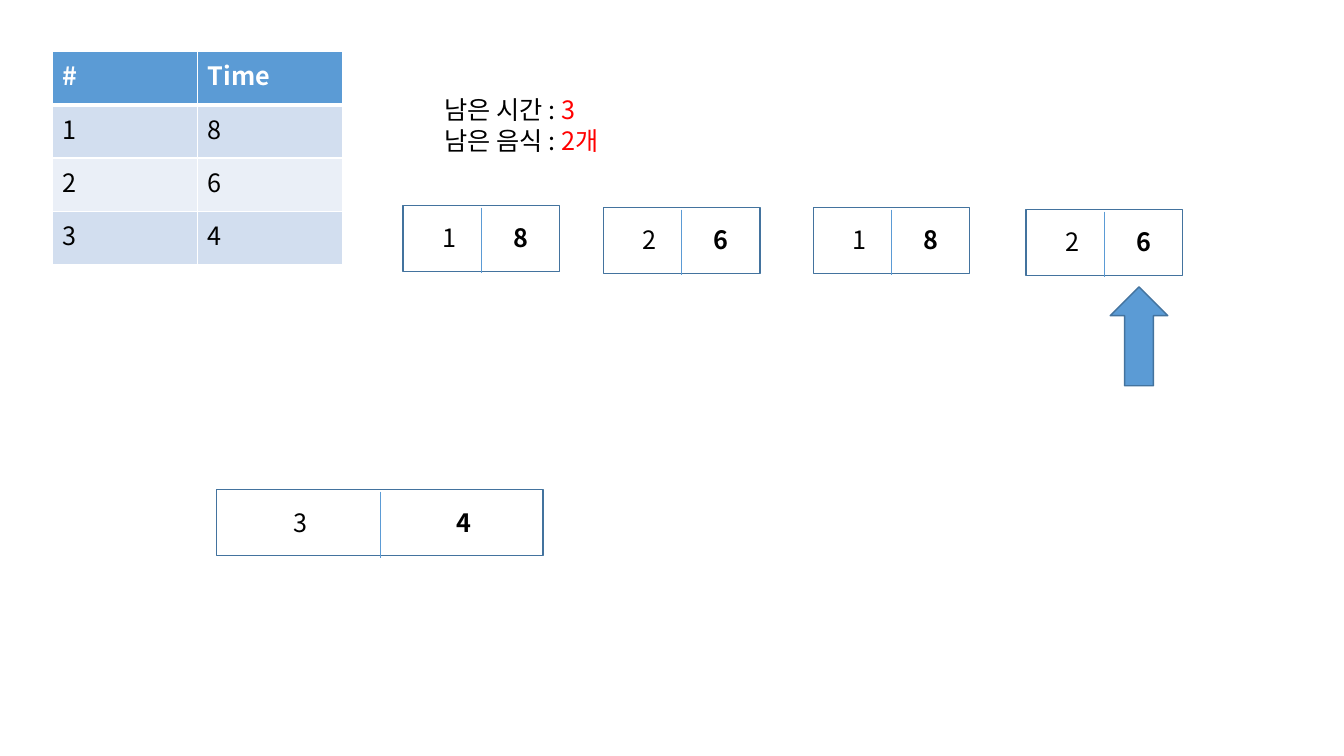
"""Build the food-queue slide: a time table, queued boxes and a pointer."""
from dataclasses import dataclass

from lxml import etree
from pptx import Presentation
from pptx.dml.color import RGBColor
from pptx.enum.shapes import MSO_CONNECTOR, MSO_SHAPE
from pptx.enum.text import MSO_AUTO_SIZE, PP_ALIGN
from pptx.oxml.ns import qn
from pptx.util import Cm, Pt


@dataclass(frozen=True)
class Theme:
    font: str = "Noto Sans CJK KR"
    size: int = 18
    text: str = "000000"
    white: str = "FFFFFF"
    red: str = "FF0000"
    blue: str = "5B9BD5"
    outline: str = "43739E"
    bands: tuple = ("D2DEEF", "EAEFF7")


THEME = Theme()

FOODS = [("#", "Time"), ("1", "8"), ("2", "6"), ("3", "4")]
REMAINING = [("남은 시간 : ", "3"), ("남은 음식 : ", "2개")]

WIDE = {"width": 8.23, "number_dx": -1.98, "time_dx": 2.12}
NARROW = {"width": 3.94, "number_dx": -0.79, "time_dx": 1.0}
BOXES = [
    ("3", "4", 5.46, 12.34, WIDE),
    ("1", "8", 10.16, 5.18, NARROW),
    ("2", "6", 15.21, 5.23, NARROW),
    ("1", "8", 20.5, 5.23, NARROW),
    ("2", "6", 25.86, 5.28, NARROW),
]
BOX_HEIGHT = 1.66
DIVIDER_DROP = 0.05
DIGIT_DROP = 0.31
DIGIT_SIZE = (0.88, 1.02)
TABLE_AT = (1.32, 1.3)
CELL_SIZE = (3.66, 1.34)
REMAINING_AT = (10.95, 2.26, 8.1, 1.8)
POINTER_AT = (27.46, 7.75, 2.49, 1.45)


def rgb(color):
    return RGBColor.from_string(color)


def add_run(paragraph, text, color=THEME.text, bold=False):
    run = paragraph.add_run()
    run.text = text
    font = run.font
    font.name, font.size, font.bold = THEME.font, Pt(THEME.size), bold
    font.color.rgb = rgb(color)
    east_asian = etree.SubElement(run._r.get_or_add_rPr(), qn("a:ea"))
    east_asian.set("typeface", THEME.font)


def add_text_frame(slide, place, wrap):
    frame = slide.shapes.add_textbox(*map(Cm, place)).text_frame
    frame.word_wrap = wrap
    frame.auto_size = MSO_AUTO_SIZE.SHAPE_TO_FIT_TEXT
    return frame


def set_borders(cell, row):
    widths = {"L": 1, "R": 1, "T": 3 if row == 1 else 1, "B": 3 if row == 0 else 1}
    properties = cell._tc.get_or_add_tcPr()
    for side, width in widths.items():
        line = etree.SubElement(properties, qn(f"a:ln{side}"), w=str(Pt(width)))
        fill = etree.SubElement(line, qn("a:solidFill"))
        etree.SubElement(fill, qn("a:srgbClr"), val=THEME.white)


def add_food_table(slide):
    rows, columns = len(FOODS), len(FOODS[0])
    width, height = CELL_SIZE
    place = (*TABLE_AT, width * columns, height * rows)
    table = slide.shapes.add_table(rows, columns, *map(Cm, place)).table
    for column in table.columns:
        column.width = Cm(width)
    for r, values in enumerate(FOODS):
        table.rows[r].height = Cm(height)
        header = r == 0
        for c, value in enumerate(values):
            cell = table.cell(r, c)
            set_borders(cell, r)
            cell.fill.solid()
            cell.fill.fore_color.rgb = rgb(THEME.blue if header else THEME.bands[(r - 1) % 2])
            color = THEME.white if header else THEME.text
            add_run(cell.text_frame.paragraphs[0], value, color, header)


def add_remaining(slide):
    frame = add_text_frame(slide, REMAINING_AT, True)
    for i, (label, value) in enumerate(REMAINING):
        paragraph = frame.add_paragraph() if i else frame.paragraphs[0]
        add_run(paragraph, label)
        add_run(paragraph, value, THEME.red)


def add_outlined(slide, kind, place, fill=None):
    shape = slide.shapes.add_shape(kind, *map(Cm, place))
    shape.shadow.inherit = False
    shape.line.color.rgb = rgb(THEME.outline)
    shape.line.width = Pt(1)
    if fill:
        shape.fill.solid()
        shape.fill.fore_color.rgb = rgb(fill)
    else:
        shape.fill.background()
    return shape


def add_box(slide, number, time, left, top, style):
    add_outlined(slide, MSO_SHAPE.RECTANGLE, (left, top, style["width"], BOX_HEIGHT))
    middle = left + style["width"] / 2
    start = top + DIVIDER_DROP
    ends = (middle, start, middle, start + BOX_HEIGHT)
    divider = slide.shapes.add_connector(MSO_CONNECTOR.STRAIGHT, *map(Cm, ends))
    divider.line.color.rgb = rgb(THEME.blue)
    divider.line.width = Pt(0.5)
    etree.SubElement(divider._element.spPr, qn("a:effectLst"))
    width, height = DIGIT_SIZE
    for digit, offset, bold in ((number, style["number_dx"], False), (time, style["time_dx"], True)):
        place = (middle + offset - width / 2, top + DIGIT_DROP, width, height)
        paragraph = add_text_frame(slide, place, False).paragraphs[0]
        paragraph.alignment = PP_ALIGN.LEFT
        add_run(paragraph, digit, bold=bold)


def main():
    presentation = Presentation()
    presentation.slide_width, presentation.slide_height = Cm(33.87), Cm(19.05)
    slide = presentation.slides.add_slide(presentation.slide_layouts[6])
    add_food_table(slide)
    add_remaining(slide)
    for box in BOXES:
        add_box(slide, *box)
    pointer = add_outlined(slide, MSO_SHAPE.RIGHT_ARROW, POINTER_AT, THEME.blue)
    pointer.rotation = 270
    presentation.save("out.pptx")


main()
